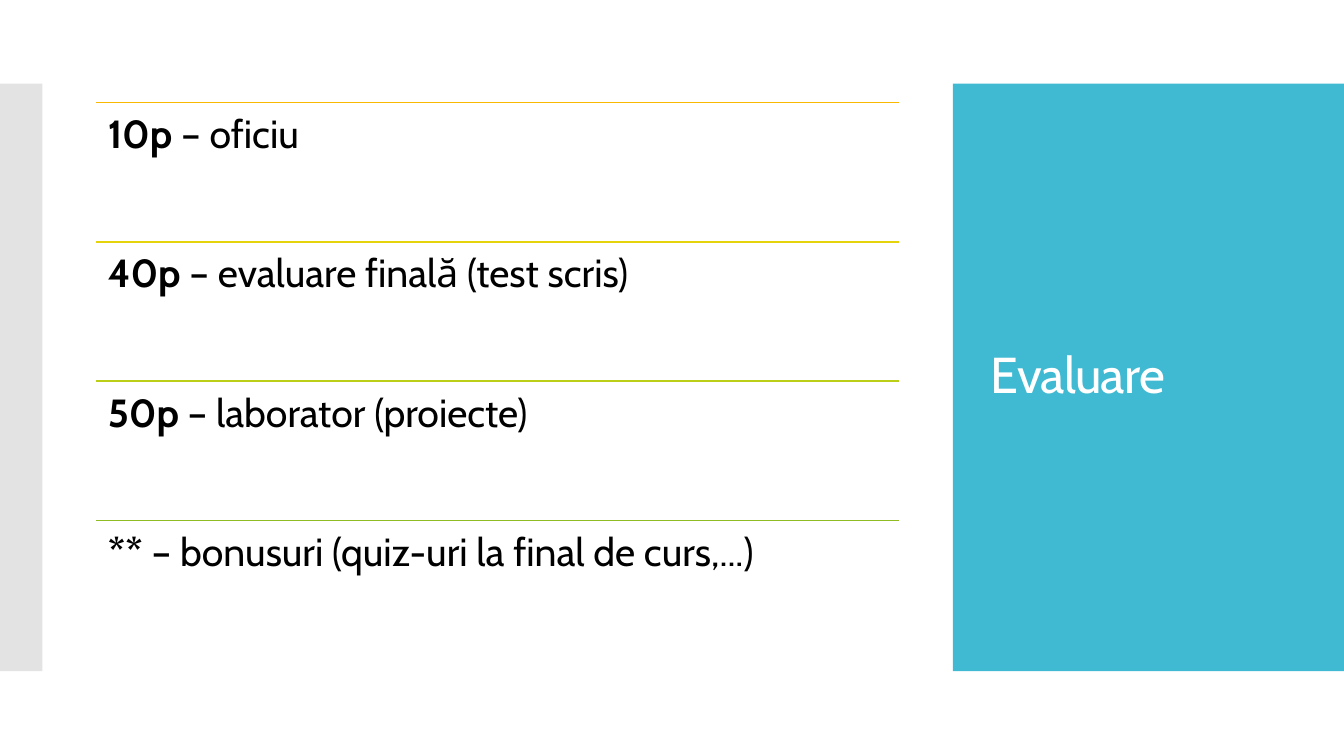
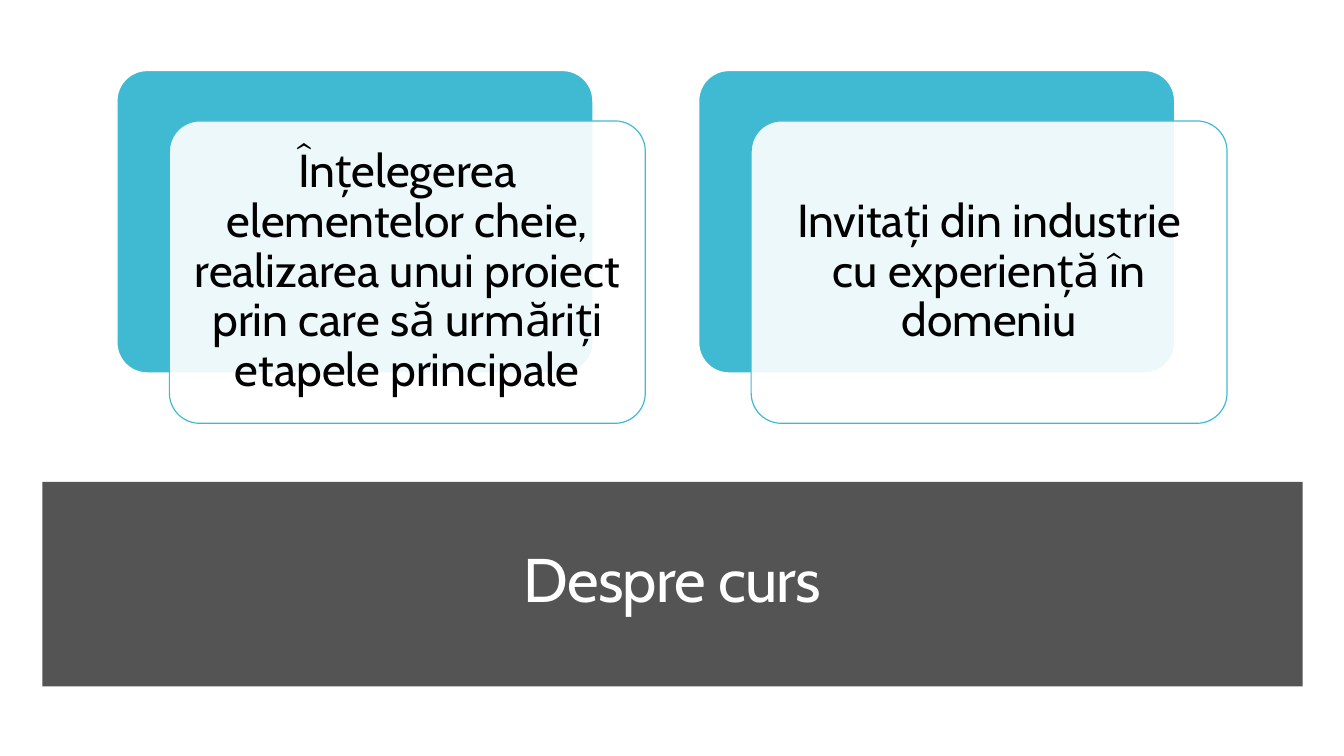
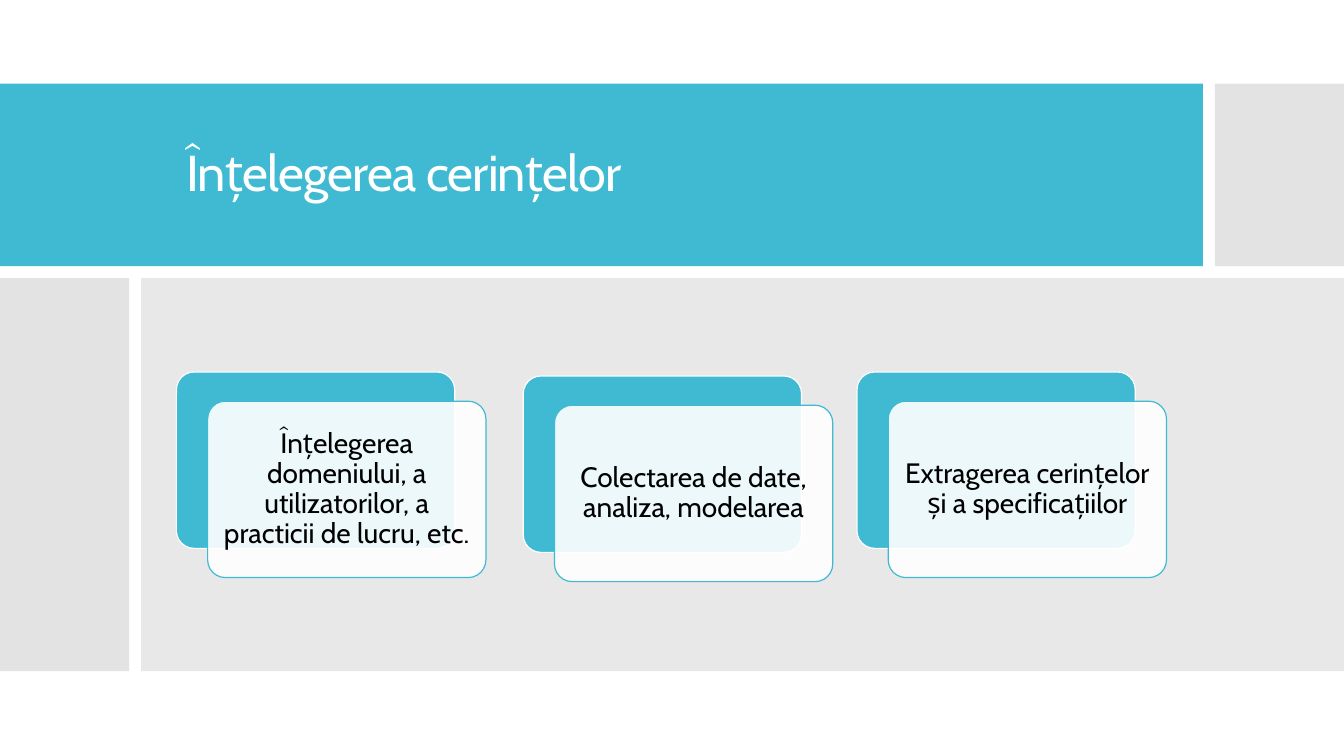
import pptx
import pptx.util
import pptx.dml.color
import pptx.enum.shapes
import pptx.enum.text
import pptx.oxml.ns
import lxml.etree

Inches, Pt = pptx.util.Inches, pptx.util.Pt
RGBColor = pptx.dml.color.RGBColor
SHAPE = pptx.enum.shapes.MSO_SHAPE
ALIGN = pptx.enum.text.PP_ALIGN
ANCHOR = pptx.enum.text.MSO_ANCHOR

# Shared look
FONT = "Cabin"
WHITE = RGBColor(0xFF, 0xFF, 0xFF)
BLACK = RGBColor(0x00, 0x00, 0x00)
TEAL = RGBColor(0x40, 0xBA, 0xD2)
CHARCOAL = RGBColor(0x54, 0x54, 0x54)
SIDE_GREY = RGBColor(0xC8, 0xC8, 0xC8)
BODY_GREY = RGBColor(0xD9, 0xD9, 0xD9)
LINE_WIDTH = Pt(0.85)
SLIDE_WIDTH, SLIDE_HEIGHT = 13.33, 7.5
BAND_TOP, BAND_BOTTOM = 0.83, 6.66
BAND_HEIGHT = BAND_BOTTOM - BAND_TOP

# Content
GRADING_TITLE = "Evaluare"
GRADING_ROWS = [
    ("10p ", "– oficiu", RGBColor(0xFA, 0xB9, 0x00)),
    ("40p ", "– evaluare finală (test scris)", RGBColor(0xE4, 0xD3, 0x0D)),
    ("50p", " – laborator (proiecte)", RGBColor(0xBC, 0xCF, 0x18)),
    ("** ", "– bonusuri (quiz-uri la final de curs,...)", RGBColor(0x90, 0xBB, 0x23)),
]
COURSE_TITLE = "Despre curs"
COURSE_CARDS = [
    (1.16, 0.7, "Înțelegerea elementelor cheie, realizarea unui proiect "
                "prin care să urmăriți etapele principale"),
    (6.93, 0.7, "Invitați din industrie cu experiență în domeniu"),
]
REQUIREMENTS_TITLE = "Înțelegerea cerințelor"
REQUIREMENTS_CARDS = [
    (1.75, 3.69, "Înțelegerea domeniului, a utilizatorilor, a practicii de lucru, etc."),
    (5.19, 3.73, "Colectarea de date, analiza, modelarea"),
    (8.5, 3.69, "Extragerea cerințelor și a specificațiilor"),
]


def add_block(page, left, top, width, height, color, opacity=100,
              kind=SHAPE.RECTANGLE, outline=None):
    block = page.shapes.add_shape(kind, Inches(left), Inches(top),
                                  Inches(width), Inches(height))
    block.shadow.inherit = False
    block.fill.solid()
    block.fill.fore_color.rgb = color
    if opacity < 100:
        color_node = block.fill._xPr.find(".//" + pptx.oxml.ns.qn("a:srgbClr"))
        alpha = lxml.etree.SubElement(color_node, pptx.oxml.ns.qn("a:alpha"))
        alpha.set("val", str(opacity * 1000))
    if outline is None:
        block.line.fill.background()
    else:
        block.line.color.rgb = outline
        block.line.width = LINE_WIDTH
    return block


def write(shape, spans, size, color, align=ALIGN.LEFT, anchor=ANCHOR.MIDDLE,
          inset=None, tracking=None):
    """Fill a shape with one paragraph made of (text, bold) spans."""
    frame = shape.text_frame
    frame.word_wrap = True
    frame.vertical_anchor = anchor
    if inset is not None:
        frame.margin_left = frame.margin_right = Inches(inset)
        frame.margin_top = frame.margin_bottom = Inches(inset)
    para = frame.paragraphs[0]
    para.alignment = align
    para.line_spacing = 0.9
    for text, bold in spans:
        span = para.add_run()
        span.text = text
        span.font.name = FONT
        span.font.size = Pt(size)
        span.font.bold = bold
        span.font.color.rgb = color
        if tracking is not None:
            span._r.get_or_add_rPr().set("spc", str(tracking))


def add_text_box(page, left, top, width, height):
    return page.shapes.add_textbox(Inches(left), Inches(top),
                                   Inches(width), Inches(height))


def add_title(page, text, left, top, width, height, size=36, align=ALIGN.LEFT):
    write(add_text_box(page, left, top, width, height), [(text, False)],
          size, WHITE, align, tracking=-60)


def add_rule(page, left, top, width, color):
    rule = page.shapes.add_connector(pptx.enum.shapes.MSO_CONNECTOR.STRAIGHT,
                                     Inches(left), Inches(top),
                                     Inches(left + width), Inches(top))
    rule.line.color.rgb = color
    rule.line.width = LINE_WIDTH
    lxml.etree.SubElement(rule._element.spPr, pptx.oxml.ns.qn("a:effectLst"))


def add_cards(page, cards, width, height, shift_x, shift_y, size, inset):
    """Each card is a teal plate with a translucent text plate shifted over it."""
    for left, top, text in cards:
        plates = [
            add_block(page, left, top, width, height, TEAL,
                      kind=SHAPE.ROUNDED_RECTANGLE, outline=WHITE),
            add_block(page, left + shift_x, top + shift_y, width, height, WHITE,
                      opacity=90, kind=SHAPE.ROUNDED_RECTANGLE, outline=TEAL),
        ]
        for plate in plates:
            plate.adjustments[0] = 0.1
        write(plates[1], [(text, False)], size, BLACK, ALIGN.CENTER, inset=inset)


def build_grading(page):
    panel_left = 9.45
    add_block(page, panel_left, BAND_TOP, SLIDE_WIDTH - panel_left, BAND_HEIGHT, TEAL)
    add_title(page, GRADING_TITLE, 9.73, 1.23, 3.22, 5.03)
    add_block(page, 0, BAND_TOP, 0.42, BAND_HEIGHT, SIDE_GREY, opacity=50)
    left, first_top, width, row_height = 0.95, 1.02, 7.97, 1.38
    for index, (points, label, color) in enumerate(GRADING_ROWS):
        top = first_top + index * row_height
        add_rule(page, left, top, width, color)
        write(add_text_box(page, left, top, width, row_height),
              [(points, True), (label, False)], 28, BLACK,
              anchor=ANCHOR.TOP, inset=0.12)


def build_course(page):
    add_block(page, 0.42, 4.78, 12.5, 2.03, CHARCOAL)
    add_title(page, COURSE_TITLE, 0.61, 5.03, 12.12, 1.49, 44, ALIGN.CENTER)
    add_cards(page, COURSE_CARDS, 4.72, 3, 0.52, 0.5, 33, 0.14)


def build_requirements(page):
    # Four tiles around a cross of white gaps
    gap, title_width, title_height, side_width = 0.12, 11.93, 1.81, 1.28
    corner_left = title_width + gap
    body_left = side_width + gap
    body_top = BAND_TOP + title_height + gap
    body_height = BAND_BOTTOM - body_top
    add_block(page, 0, BAND_TOP, title_width, title_height, TEAL)
    add_title(page, REQUIREMENTS_TITLE, 1.75, 1.19, 9.82, 1.09)
    add_block(page, corner_left, BAND_TOP, SLIDE_WIDTH - corner_left, title_height,
              SIDE_GREY, opacity=50)
    add_block(page, 0, body_top, side_width, body_height, SIDE_GREY, opacity=50)
    add_block(page, body_left, body_top, SLIDE_WIDTH - body_left, body_height,
              BODY_GREY, opacity=60)
    add_cards(page, REQUIREMENTS_CARDS, 2.76, 1.75, 0.31, 0.29, 20, 0.08)


def main():
    deck = pptx.Presentation()
    deck.slide_width = Inches(SLIDE_WIDTH)
    deck.slide_height = Inches(SLIDE_HEIGHT)
    for build in (build_grading, build_course, build_requirements):
        build(deck.slides.add_slide(deck.slide_layouts[6]))
    deck.save("out.pptx")


if __name__ == "__main__":
    main()
